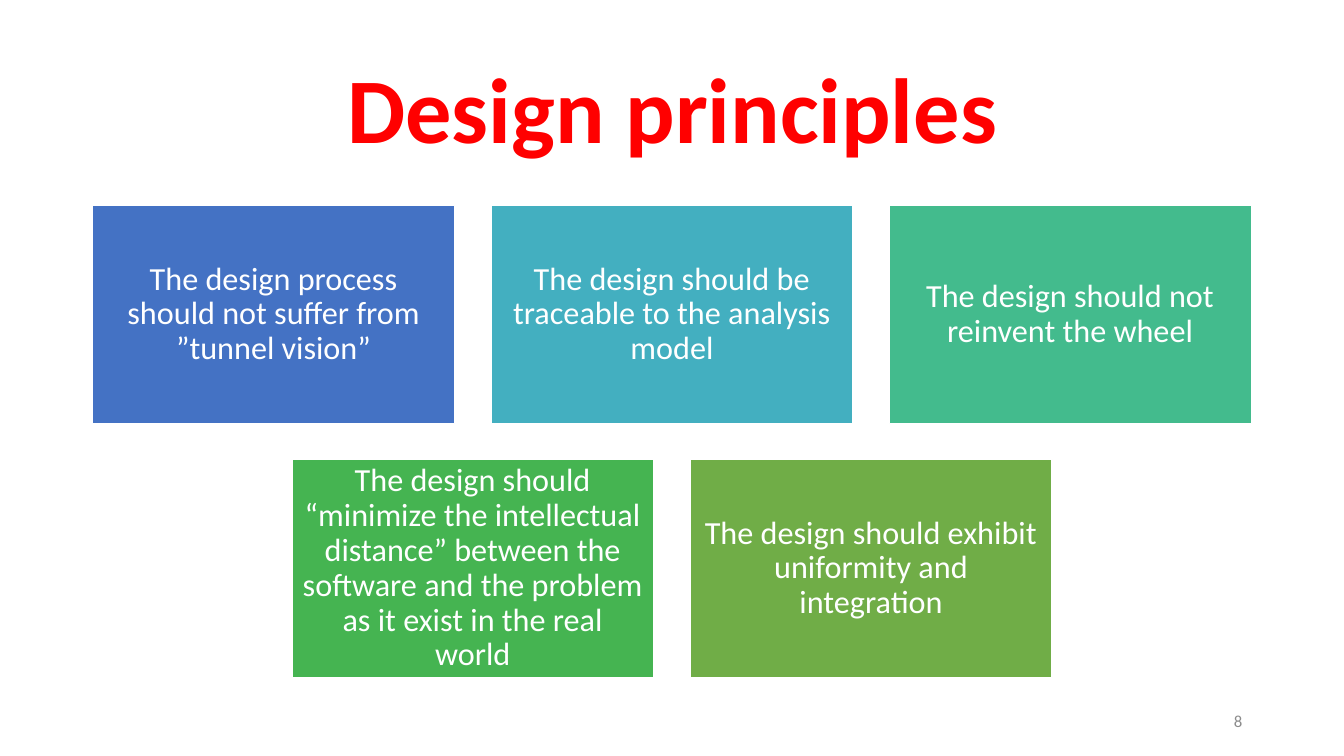
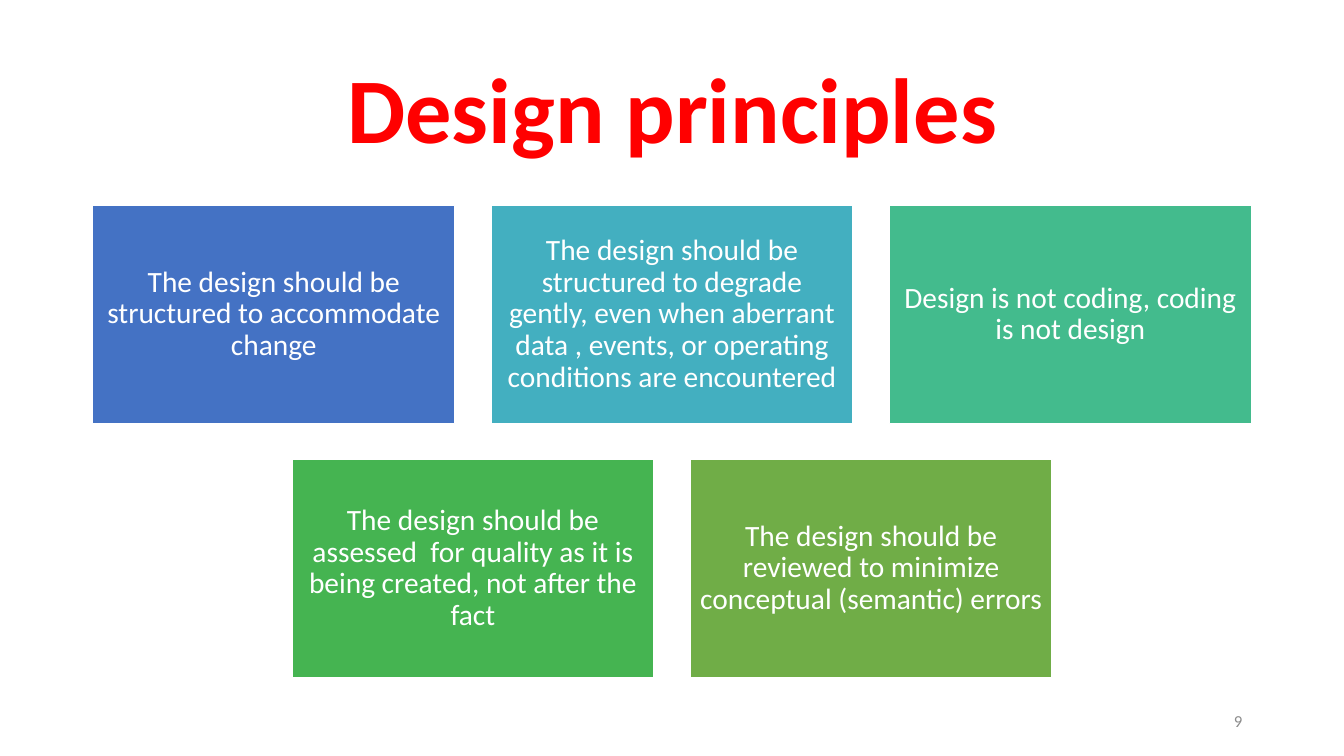
from pptx import Presentation
from pptx.dml.color import RGBColor
from pptx.enum.shapes import MSO_SHAPE as Shape
from pptx.enum.text import MSO_ANCHOR as Anchor, PP_ALIGN as Align
from pptx.util import Inches, Pt

TITLE = "Design principles"
FONT = "Calibri"
RED, WHITE, GREY = "FF0000", "FFFFFF", "8C8C8C"
FILLS = ["4472C4", "43AFC0", "43BB8D", "45B451", "70AD47"]

SLIDES = [
    {"page": 8, "size": 23, "inset": 0.1, "cards": [
        "The design process should not suffer from ”tunnel vision”",
        "The design should be traceable to the analysis model",
        "The design should not reinvent the wheel",
        "The design should “minimize the intellectual distance” between "
        "the software and the problem as it exist in the real world",
        "The design should exhibit uniformity and integration",
    ]},
    {"page": 9, "size": 21, "inset": 0.09, "cards": [
        "The design should be structured to accommodate change",
        "The design should be structured to degrade gently, even when "
        "aberrant data , events, or operating conditions are encountered",
        "Design is not coding, coding is not design",
        "The design should be assessed  for quality as it is being "
        "created, not after the fact",
        "The design should be reviewed to minimize conceptual "
        "(semantic) errors",
    ]},
]

WIDTH, HEIGHT = 13.33, 7.5
COLS, TOP, GAP = 3, 2.04, 0.36
CARD_W, CARD_H = 3.59, 2.16


def color(code):
    return RGBColor.from_string(code)


def write(shape, text, size, tint, align=Align.CENTER, bold=False, lines=0.9):
    frame = shape.text_frame
    frame.word_wrap = True
    frame.vertical_anchor = Anchor.MIDDLE
    para = frame.paragraphs[0]
    para.text = text
    para.alignment = align
    para.line_spacing = lines
    font = para.font
    font.name, font.size, font.bold = FONT, Pt(size), bold
    font.color.rgb = color(tint)


def add_text(slide, box, *args, **style):
    write(slide.shapes.add_textbox(*map(Inches, box)), *args, **style)


def add_card(slide, box, text, fill, size, inset):
    card = slide.shapes.add_shape(Shape.RECTANGLE, *map(Inches, box))
    card.shadow.inherit = False
    card.fill.solid()
    card.fill.fore_color.rgb = color(fill)
    card.line.color.rgb = color(WHITE)
    card.line.width = Pt(1)
    frame = card.text_frame
    frame.margin_left = frame.margin_right = Inches(inset)
    frame.margin_top = frame.margin_bottom = Inches(inset)
    write(card, text, size, WHITE)


def card_box(index, total):
    """Place a card in rows of COLS, each row centred on the slide."""
    row, col = divmod(index, COLS)
    count = min(COLS, total - row * COLS)
    left = (WIDTH - count * CARD_W - (count - 1) * GAP) / 2
    return (left + col * (CARD_W + GAP), TOP + row * (CARD_H + GAP),
            CARD_W, CARD_H)


def add_slide(deck, data):
    slide = deck.slides.add_slide(deck.slide_layouts[6])
    add_text(slide, (0.92, 0.4, 11.5, 1.45), TITLE, 66, RED, bold=True)
    cards = data["cards"]
    for i, (text, fill) in enumerate(zip(cards, FILLS)):
        add_card(slide, card_box(i, len(cards)), text, fill,
                 data["size"], data["inset"])
    add_text(slide, (9.42, 6.95, 3, 0.4), str(data["page"]), 12, GREY,
             align=Align.RIGHT, lines=1.0)


def main():
    deck = Presentation()
    deck.slide_width, deck.slide_height = Inches(WIDTH), Inches(HEIGHT)
    for data in SLIDES:
        add_slide(deck, data)
    deck.save("out.pptx")


if __name__ == "__main__":
    main()
